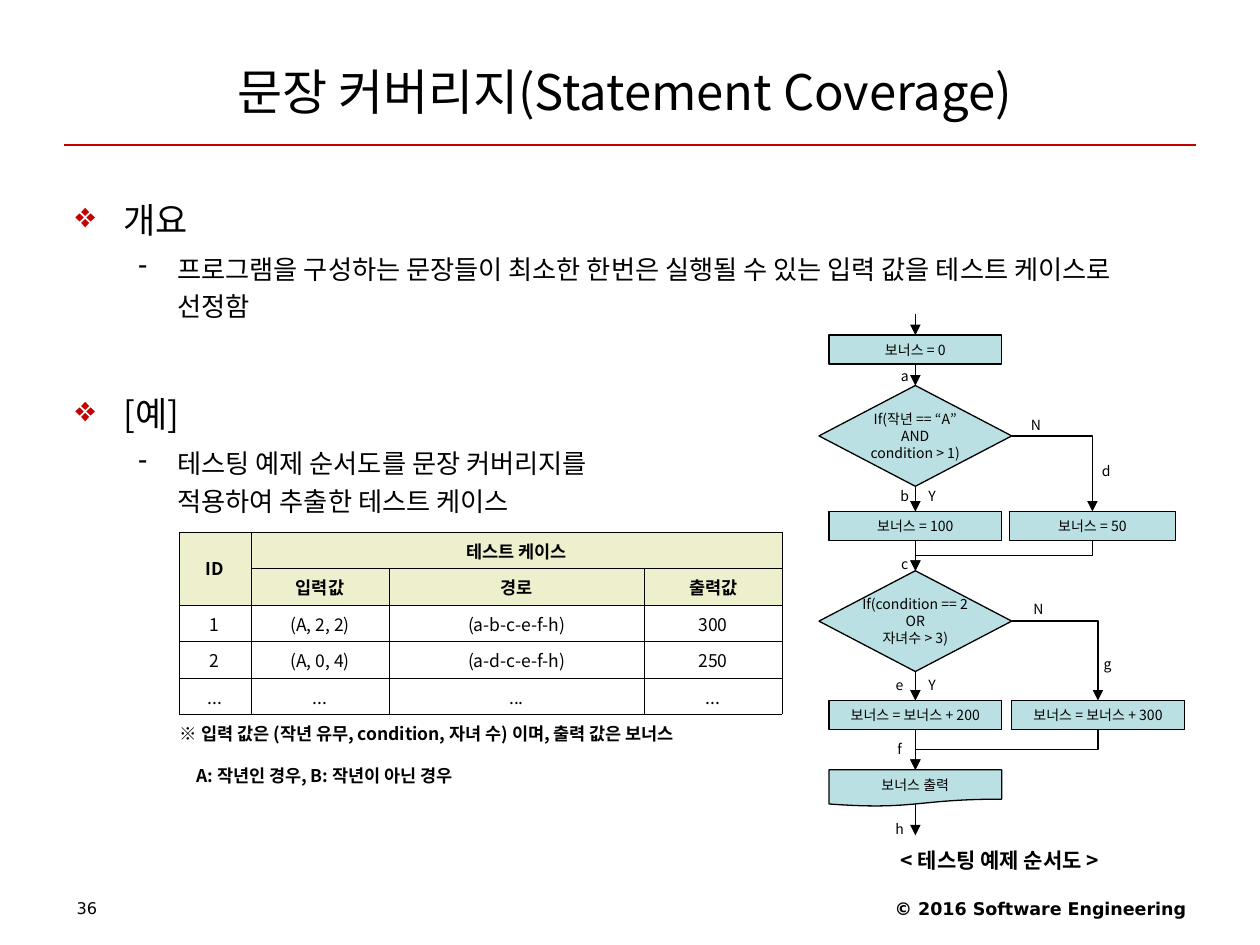
from dataclasses import dataclass

from lxml.etree import SubElement
from pptx import Presentation
from pptx.dml.color import RGBColor
from pptx.enum.shapes import MSO_CONNECTOR as Line, MSO_SHAPE as Preset
from pptx.enum.text import MSO_ANCHOR as Anchor, PP_ALIGN as Align
from pptx.oxml.ns import qn
from pptx.util import Inches, Pt


@dataclass(frozen=True)
class Theme:
    black: str = "000000"
    red: str = "C40000"
    flow: str = "BBE0E3"
    header: str = "EEEFCD"
    shadow: str = "B2B2B2"
    font: str = "Noto Sans CJK KR"
    footer_font: str = "DejaVu Sans"
    title_size: float = 28
    heading_size: float = 20
    body_size: float = 15
    caption_size: float = 12
    table_size: float = 10
    page_size: float = 9.2
    flow_size: float = 8
    line: float = 0.75
    border: float = 0.06


class SlideBuilder:
    def __init__(self, slide, theme):
        self.slide = slide
        self.theme = theme

    def add_runs(self, paragraph, text, size, bold=False, font=None, align=None, shadow=False):
        """Fill a paragraph with one run for each line of the text."""
        paragraph.alignment = align
        for number, line in enumerate(text.split("\n")):
            if number:
                paragraph.add_line_break()
            run = paragraph.add_run()
            run.text = line
            run.font.size = Pt(size)
            run.font.bold = bold
            run.font.color.rgb = RGBColor.from_string(self.theme.black)
            run.font.name = font or self.theme.font
            properties = run._r.get_or_add_rPr()
            SubElement(properties, qn("a:ea"), typeface=run.font.name)
            if shadow:
                effects = SubElement(properties, qn("a:effectLst"))
                outer = SubElement(effects, qn("a:outerShdw"), dist="17961", dir="2700000")
                SubElement(outer, qn("a:srgbClr"), val=self.theme.shadow)
                properties.find(qn("a:latin")).addprevious(effects)

    def frame(self, left, top, width, height, anchor=Anchor.TOP, wrap=True):
        shape = self.slide.shapes.add_textbox(*map(Inches, (left, top, width, height)))
        shape.text_frame.word_wrap = wrap
        shape.text_frame.vertical_anchor = anchor
        return shape.text_frame

    def text(self, box, text, size, anchor=Anchor.TOP, wrap=True, before=0, **style):
        paragraph = self.frame(*box, anchor, wrap).paragraphs[0]
        paragraph.space_before = Pt(before)
        self.add_runs(paragraph, text, size, **style)

    def label(self, left, top, text, width=0.28, align=Align.CENTER):
        self.text((left, top, width, 0.24), text, self.theme.flow_size, before=5, align=align)

    def bullet(self, paragraph, text, size, mark, color, margin, hanging, spacing, before):
        paragraph.line_spacing = spacing
        paragraph.space_before = Pt(before)
        self.add_runs(paragraph, text, size)
        properties = paragraph._p.get_or_add_pPr()
        properties.set("marL", str(Inches(margin)))
        properties.set("indent", str(-Inches(hanging)))
        bullet_color = SubElement(properties, qn("a:buClr"))
        SubElement(bullet_color, qn("a:srgbClr"), val=color)
        SubElement(properties, qn("a:buChar"), char=mark)

    def node(self, preset, left, top, width, height, text):
        shape = self.slide.shapes.add_shape(preset, *map(Inches, (left, top, width, height)))
        shape.shadow.inherit = False
        shape.fill.solid()
        shape.fill.fore_color.rgb = RGBColor.from_string(self.theme.flow)
        shape.line.color.rgb = RGBColor.from_string(self.theme.black)
        shape.line.width = Pt(self.theme.line)
        frame = shape.text_frame
        frame.word_wrap = False
        frame.vertical_anchor = Anchor.MIDDLE
        for number, line in enumerate(text.split("\n")):
            paragraph = frame.add_paragraph() if number else frame.paragraphs[0]
            self.add_runs(paragraph, line, self.theme.flow_size, align=Align.CENTER)
        return shape

    def connector(self, begin, end, color=None, arrow=True, kind=Line.STRAIGHT):
        connector = self.slide.shapes.add_connector(kind, *begin, *end)
        connector.line.color.rgb = RGBColor.from_string(color or self.theme.black)
        connector.line.width = Pt(self.theme.line)
        properties = connector._element.spPr
        if arrow:
            SubElement(properties.find(qn("a:ln")), qn("a:tailEnd"), type="triangle")
        SubElement(properties, qn("a:effectLst"))
        return connector

    def link(self, source, target):
        connector = self.connector((0, 0), (0, 0))
        connector.begin_connect(source, 2)
        connector.end_connect(target, 0)

    def branch(self, decision, box):
        """Go right from a decision, then down to the top of a box."""
        begin = decision.left + decision.width, decision.top + decision.height // 2
        end = box.left + box.width // 2, box.top
        connector = self.connector(begin, end, kind=Line.ELBOW)
        connector._element.spPr.find(qn("a:prstGeom")).set("prst", "bentConnector2")

    def merge(self, box, target):
        """Go down from a box, left, and down again to the top of the target."""
        start_x, start_y = box.left + box.width // 2, box.top + box.height
        end_x, end_y = target.left + target.width // 2, target.top
        middle_x, middle_y = (start_x + end_x) // 2, (start_y + end_y) // 2
        half_x, half_y = (start_x - end_x) // 2, (end_y - start_y) // 2
        connector = self.connector((middle_x - half_y, middle_y - half_x),
                                   (middle_x + half_y, middle_y + half_x), kind=Line.ELBOW)
        connector._element.spPr.find(qn("a:xfrm")).set("rot", "5400000")

    def cell(self, cell, text, header):
        cell.vertical_anchor = Anchor.MIDDLE
        cell.margin_left = cell.margin_right = Inches(0.12)
        cell.margin_top = cell.margin_bottom = Inches(0.05)
        properties = cell._tc.get_or_add_tcPr()
        for side in ("a:lnL", "a:lnR", "a:lnT", "a:lnB"):
            border = SubElement(properties, qn(side), w=str(Pt(self.theme.border)))
            fill = SubElement(border, qn("a:solidFill"))
            SubElement(fill, qn("a:srgbClr"), val=self.theme.black)
        if header:
            cell.fill.solid()
            cell.fill.fore_color.rgb = RGBColor.from_string(self.theme.header)
        else:
            cell.fill.background()
        self.add_runs(cell.text_frame.paragraphs[0], text, self.theme.table_size,
                      bold=header, align=Align.CENTER)

    def table(self, left, top, widths, row_height, rows, header_rows):
        table = self.slide.shapes.add_table(
            len(rows), len(widths), Inches(left), Inches(top),
            Inches(sum(widths)), Inches(row_height * len(rows))).table
        table.first_row = table.horz_banding = False
        for column, width in zip(table.columns, widths):
            column.width = Inches(width)
        for row_number, row in enumerate(rows):
            table.rows[row_number].height = Inches(row_height)
            for column_number, text in enumerate(row):
                self.cell(table.cell(row_number, column_number), text, row_number < header_rows)
        return table


def add_flowchart(builder):
    process, decision = Preset.FLOWCHART_PROCESS, Preset.FLOWCHART_DECISION
    steps = [builder.node(*step) for step in (
        (process, 6.58, 2.66, 1.37, 0.23, "보너스 = 0"),
        (decision, 6.5, 3.06, 1.53, 0.8, "If(작년 == “A”\nAND\ncondition > 1)"),
        (process, 6.58, 4.06, 1.37, 0.23, "보너스 = 100"),
        (decision, 6.5, 4.53, 1.53, 0.8, "If(condition == 2\nOR\n자녀수 > 3)"),
        (process, 6.58, 5.56, 1.37, 0.23, "보너스 = 보너스 + 200"),
        (Preset.FLOWCHART_DOCUMENT, 6.58, 6.11, 1.37, 0.29, "보너스 출력"))]
    for source, target in zip(steps, steps[1:]):
        builder.link(source, target)
    bonus_50 = builder.node(process, 8.01, 4.06, 1.32, 0.23, "보너스 = 50")
    bonus_300 = builder.node(process, 8.03, 5.56, 1.37, 0.23, "보너스 = 보너스 + 300")
    for question, box, target in ((steps[1], bonus_50, steps[3]), (steps[3], bonus_300, steps[5])):
        builder.branch(question, box)
        builder.merge(box, target)

    axis = steps[0].left + steps[0].width // 2
    entry = builder.connector((axis, Inches(2.49)), (axis, steps[0].top))
    entry.end_connect(steps[0], 0)
    builder.connector((axis, Inches(6.38)), (axis, Inches(6.63)))

    for left, top, name in ((7.04, 2.87, "a"), (7.04, 3.82, "b"), (7.04, 4.36, "c"),
                            (8.64, 3.62, "d"), (7, 5.32, "e"), (7, 5.83, "f"),
                            (8.65, 5.15, "g"), (7, 6.46, "h")):
        builder.label(left, top, name)
    for top in (3.82, 5.32):
        builder.label(7.27, top, "Y", 0.41, Align.LEFT)
    for left, top in ((7.95, 3.26), (7.97, 4.72)):
        builder.label(left, top, "N", 0.41, Align.RIGHT)
    builder.text((7.05, 6.68, 1.92, 0.32), "< 테스팅 예제 순서도 >", builder.theme.caption_size,
                 wrap=False, bold=True)


def add_body(builder):
    theme = builder.theme
    frame = builder.frame(0.5, 1.39, 9, 2.8)
    heading = (theme.heading_size, "❖", theme.red, 0.38, 0.38, 1.4)
    item = (theme.body_size, "-", theme.black, 0.81, 0.31, 1.2)
    for number, (text, style, before) in enumerate((
            ("개요", heading, 5),
            ("프로그램을 구성하는 문장들이 최소한 한번은 실행될 수 있는 입력 값을 "
             "테스트 케이스로 선정함", item, 3.7),
            ("[예]", heading, 30.5),
            ("테스팅 예제 순서도를 문장 커버리지를\n적용하여 추출한 테스트 케이스", item, 3.7))):
        paragraph = frame.add_paragraph() if number else frame.paragraphs[0]
        builder.bullet(paragraph, text, *style, before)


def add_test_cases(builder):
    table = builder.table(1.42, 4.22, (0.57, 1.1, 2.02, 1.1), 0.29, (
        ("ID", "테스트 케이스", "", ""),
        ("", "입력값", "경로", "출력값"),
        ("1", "(A, 2, 2)", "(a-b-c-e-f-h)", "300"),
        ("2", "(A, 0, 4)", "(a-d-c-e-f-h)", "250"),
        ("...",) * 4), header_rows=2)
    table.cell(0, 0).merge(table.cell(1, 0))
    table.cell(0, 1).merge(table.cell(0, 3))

    note = builder.frame(1.33, 5.68, 4.62, 0.62, Anchor.MIDDLE)
    style = dict(size=builder.theme.table_size, bold=True, align=Align.JUSTIFY, shadow=True)
    builder.add_runs(note.paragraphs[0],
                     "※ 입력 값은 (작년 유무, condition, 자녀 수) 이며, 출력 값은 보너스", **style)
    legend = note.add_paragraph()
    legend.space_before = Pt(12)
    builder.add_runs(legend, "A: 작년인 경우, B: 작년이 아닌 경우", **style)
    legend._p.get_or_add_pPr().set("marL", str(Inches(0.13)))


def main():
    presentation = Presentation()
    presentation.slide_width, presentation.slide_height = Inches(10), Inches(7.5)
    theme = Theme()
    builder = SlideBuilder(presentation.slides.add_slide(presentation.slide_layouts[6]), theme)

    builder.connector((Inches(0.51), Inches(1.15)), (Inches(9.49), Inches(1.15)), theme.red, False)
    builder.text((6.34, 7.08, 3.17, 0.29), "© 2016 Software Engineering", theme.table_size,
                 bold=True, font=theme.footer_font, align=Align.RIGHT)
    builder.text((0.51, 7.08, 2.33, 0.28), "36", theme.page_size, font=theme.footer_font)
    builder.text((0.5, 0.3, 9, 0.85), "문장 커버리지(Statement Coverage) ", theme.title_size,
                 Anchor.MIDDLE, align=Align.CENTER)
    add_body(builder)
    add_flowchart(builder)
    add_test_cases(builder)
    presentation.save("out.pptx")


if __name__ == "__main__":
    main()
